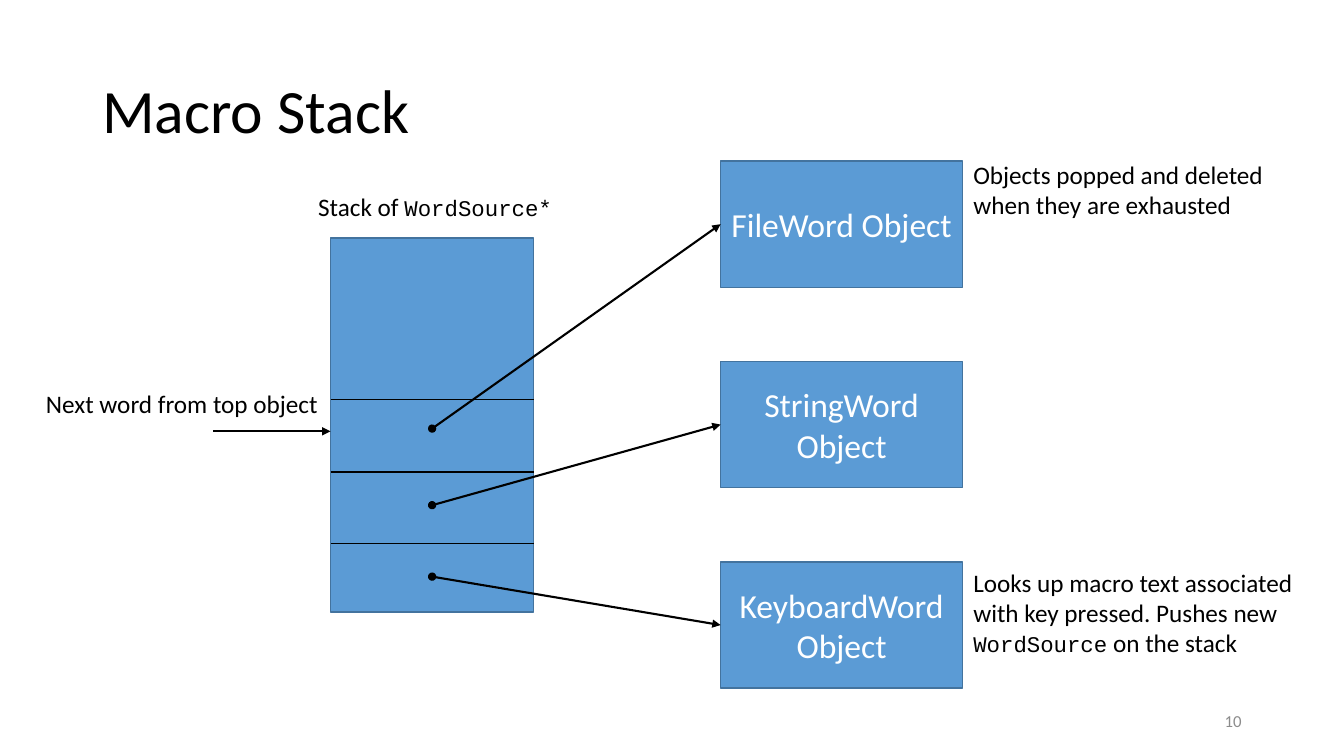
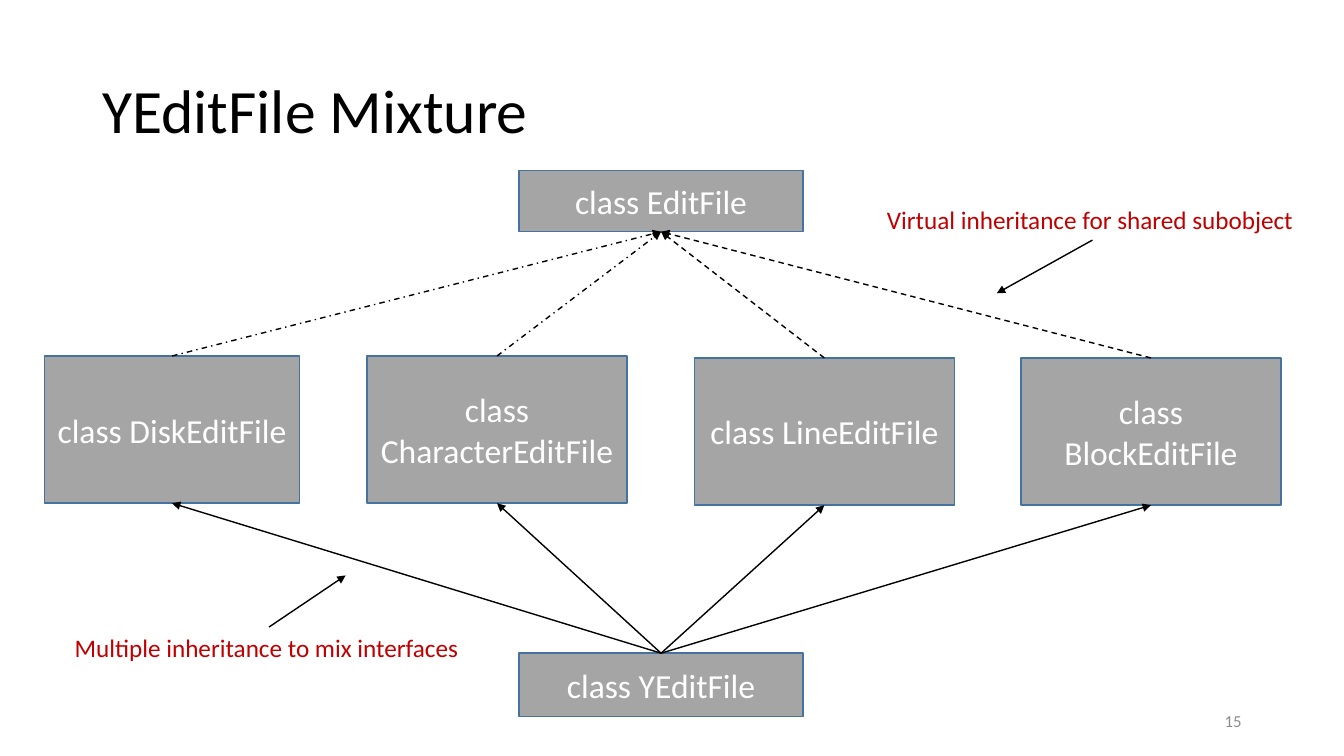
from dataclasses import dataclass

from lxml.etree import SubElement
from pptx import Presentation
from pptx.dml.color import RGBColor
from pptx.enum.dml import MSO_LINE
from pptx.enum.shapes import MSO_CONNECTOR, MSO_SHAPE
from pptx.enum.text import MSO_ANCHOR, MSO_AUTO_SIZE, PP_ALIGN
from pptx.oxml.ns import qn
from pptx.util import Cm, Pt


@dataclass(frozen=True)
class Theme:
    black: RGBColor = RGBColor(0, 0, 0)
    white: RGBColor = RGBColor(255, 255, 255)
    blue: RGBColor = RGBColor.from_string("5B9BD5")
    gray: RGBColor = RGBColor.from_string("A5A5A5")
    outline: RGBColor = RGBColor.from_string("43739E")
    red: RGBColor = RGBColor.from_string("C00000")
    page: RGBColor = RGBColor.from_string("8C8C8C")
    body_font: str = "Calibri"
    code_font: str = "Courier New"
    title_size: Pt = Pt(44)
    box_size: Pt = Pt(24)
    note_size: Pt = Pt(18)
    code_size: Pt = Pt(16)
    page_size: Pt = Pt(12)
    thin: Pt = Pt(1)
    thick: Pt = Pt(1.5)


theme = Theme()

# Each text style: frame, paragraph and font values
middle = {"word_wrap": True, "vertical_anchor": MSO_ANCHOR.MIDDLE}
label = {"word_wrap": False, "auto_size": MSO_AUTO_SIZE.SHAPE_TO_FIT_TEXT}
styles = {
    "title": (middle, {"line_spacing": 0.9}, theme.title_size, theme.black),
    "page": (middle, {"alignment": PP_ALIGN.RIGHT}, theme.page_size, theme.page),
    "box": (middle, {"alignment": PP_ALIGN.CENTER}, theme.box_size, theme.white),
    "note": (label, {}, theme.note_size, theme.black),
    "remark": (label, {}, theme.note_size, theme.red),
}


def add_text(slide, area, text, style, fill=None):
    """Add a text box, or a filled rectangle; backticks enclose code."""
    area = [Cm(length) for length in area]
    if fill is None:
        shape = slide.shapes.add_textbox(*area)
    else:
        shape = slide.shapes.add_shape(MSO_SHAPE.RECTANGLE, *area)
        shape.shadow.inherit = False
        shape.fill.solid()
        shape.fill.fore_color.rgb = fill
        shape.line.color.rgb = theme.outline
        shape.line.width = theme.thin
    frame_format, paragraph_format, size, color = styles[style]
    frame = shape.text_frame
    for name, value in frame_format.items():
        setattr(frame, name, value)
    for row, line in enumerate(text.split("\n")):
        paragraph = frame.add_paragraph() if row else frame.paragraphs[0]
        for name, value in paragraph_format.items():
            setattr(paragraph, name, value)
        for part, words in enumerate(line.split("`")):
            if not words:
                continue
            run = paragraph.add_run()
            run.text = words
            run.font.color.rgb = color
            code = part % 2 == 1
            font_format = {"name": theme.code_font if code else theme.body_font,
                           "size": theme.code_size if code else size}
            for name, value in font_format.items():
                setattr(run.font, name, value)


def add_line(slide, start, end, width=theme.thin, head=None, tail="triangle", dash=None):
    """Connect two points, with optional marks at the start and the end."""
    connector = slide.shapes.add_connector(
        MSO_CONNECTOR.STRAIGHT, *[Cm(length) for length in (*start, *end)])
    connector.line.color.rgb = theme.black
    for name, value in {"width": width, "dash_style": dash}.items():
        setattr(connector.line, name, value)
    properties = connector._element.spPr
    for tag, mark in (("a:headEnd", head), ("a:tailEnd", tail)):
        if mark:
            SubElement(properties.find(qn("a:ln")), qn(tag), type=mark)
    SubElement(properties, qn("a:effectLst"))


# Both slides: title and page number
presentation = Presentation()
presentation.slide_width, presentation.slide_height = Cm(33.87), Cm(19.05)
slides = []
for title, number in (("Macro Stack", "10"), ("YEditFile Mixture", "15")):
    slide = presentation.slides.add_slide(presentation.slide_layouts[6])
    add_text(slide, (2.33, 1.01, 29.21, 3.68), title, "title")
    add_text(slide, (23.92, 17.66, 7.62, 1.01), number, "page")
    slides.append(slide)
macro_slide, mixture_slide = slides

# Macro Stack: the stack and its cells
stack_left, stack_width = 8.33, 5.12
stack_right = stack_left + stack_width
stack_center = stack_left + stack_width / 2
add_text(macro_slide, (stack_left, 6, stack_width, 9.42), "", "box", theme.blue)
for divider in (10.06, 11.89, 13.69):
    add_line(macro_slide, (stack_left, divider), (stack_right, divider), tail=None)

# Macro Stack: word sources and the pointers to them
source_left, source_top, source_step = 18.16, 4.06, 5.05
source_width, source_height = 6.1, 3.18
pointers = (("FileWord", 10.8), ("StringWord", 12.73), ("KeyboardWord", 14.53))
for index, (name, pointer) in enumerate(pointers):
    top = source_top + index * source_step
    add_text(macro_slide, (source_left, top, source_width, source_height),
             f"{name} Object", "box", theme.blue)
    add_line(macro_slide, (stack_center, pointer),
             (source_left, top + source_height / 2), theme.thick, head="oval")
add_line(macro_slide, (5.38, 10.87), (stack_left, 10.87), theme.thick)

# Macro Stack: notes
for area, text in (
    ((7.77, 4.7, 6.48, 1.02), "Stack of `WordSource*`"),
    ((0.91, 9.65, 7.44, 1.02), "Next word from top object"),
    ((24.28, 14.17, 8.64, 2.57), "Looks up macro text associated\n"
     "with key pressed. Pushes new\n`WordSource` on the stack"),
    ((24.28, 3.89, 7.9, 1.8), "Objects popped and deleted\nwhen they are exhausted"),
):
    add_text(macro_slide, area, text, "note")

# YEditFile Mixture: base class and final class
base_left, base_width = 13.08, 7.16
base_center = base_left + base_width / 2
base_top, base_height, final_top = 4.29, 1.55, 16.46
add_text(mixture_slide, (base_left, base_top, base_width, base_height),
         "class EditFile", "box", theme.gray)
add_text(mixture_slide, (base_left, final_top, base_width, 1.6),
         "class YEditFile", "box", theme.gray)

# YEditFile Mixture: classes in between, with their inheritance arrows
class_height = 3.71
for name, left, top, width, dash in (
    ("Disk", 1.12, 8.97, 6.43, MSO_LINE.DASH_DOT),
    ("Character", 9.25, 8.97, 6.55, MSO_LINE.DASH_DOT),
    ("Line", 17.5, 9.02, 6.55, MSO_LINE.DASH),
    ("Block", 25.73, 9.02, 6.55, MSO_LINE.DASH),
):
    center = left + width / 2
    add_text(mixture_slide, (left, top, width, class_height),
             f"class {name}EditFile", "box", theme.gray)
    add_line(mixture_slide, (center, top), (base_center, base_top + base_height), dash=dash)
    add_line(mixture_slide, (base_center, final_top), (center, top + class_height))

# YEditFile Mixture: remarks and their arrows
for area, text, start, end in (
    ((22.1, 5.03, 10.87, 1.02), "Virtual inheritance for shared subobject",
     (27.53, 6.05), (25.12, 7.39)),
    ((1.63, 15.8, 10.31, 1.02), "Multiple inheritance to mix interfaces",
     (6.78, 15.8), (8.71, 14.5)),
):
    add_text(mixture_slide, area, text, "remark")
    add_line(mixture_slide, start, end)

presentation.save("out.pptx")
